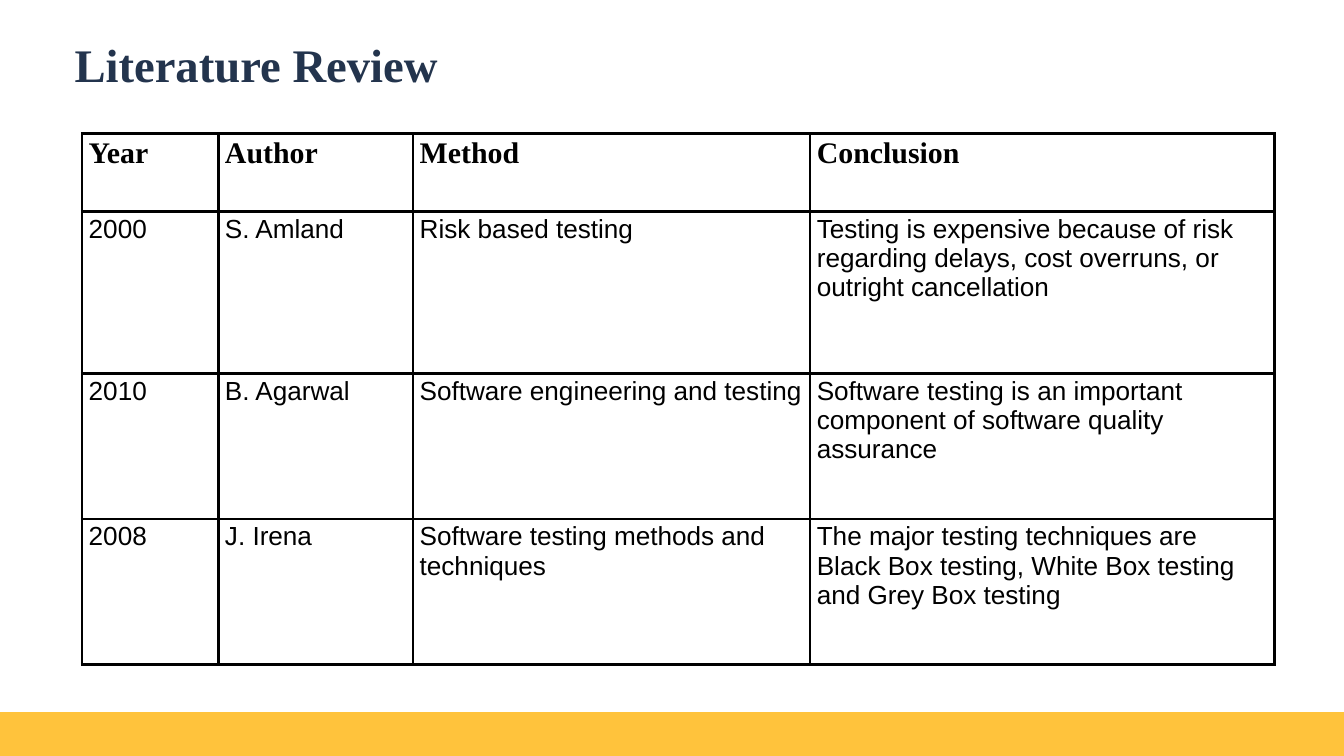
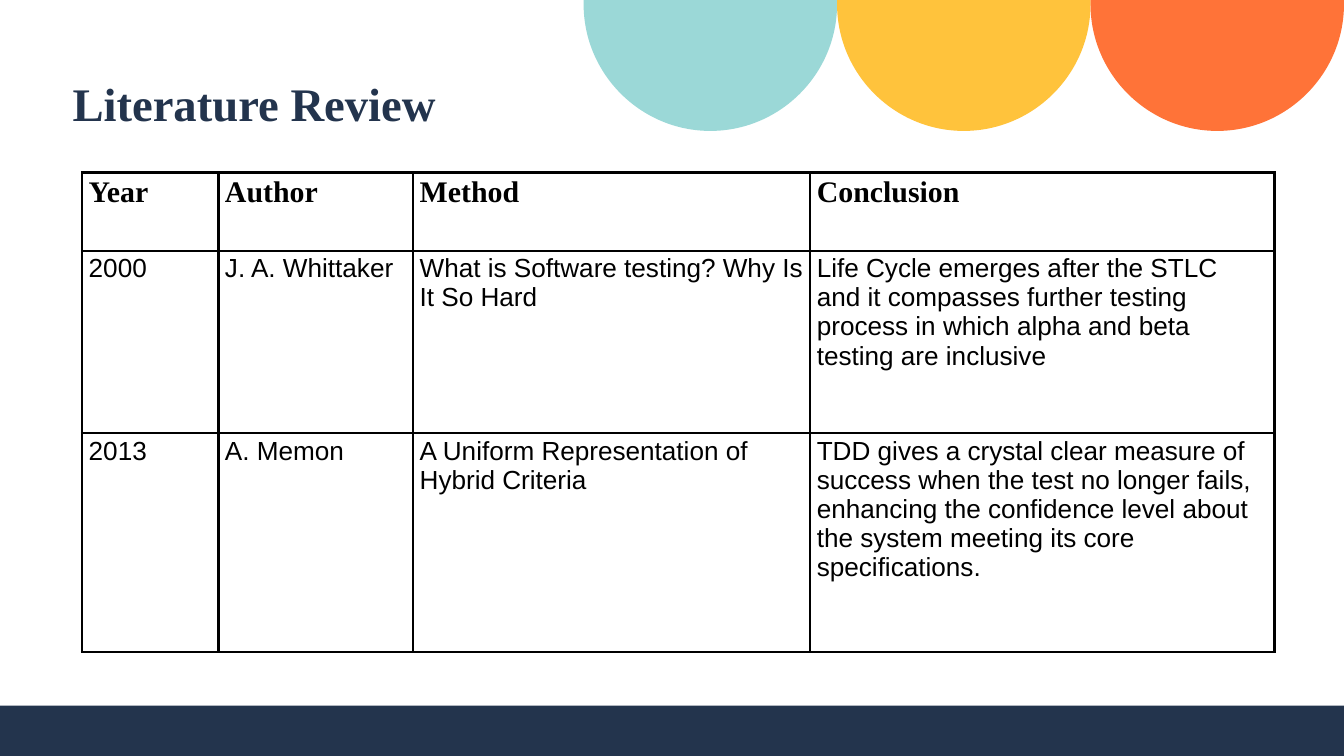
"""Build two literature review slides."""
import lxml.etree
import pptx
import pptx.dml.color
import pptx.enum.shapes
import pptx.enum.text
import pptx.oxml.ns
import pptx.util

Cm = pptx.util.Cm
Pt = pptx.util.Pt
qn = pptx.oxml.ns.qn

SLIDE_WIDTH, SLIDE_HEIGHT = 50.8, 28.58
NAVY, YELLOW, TEAL, ORANGE = "23344D", "FFC33C", "9BD8D7", "FF7338"
BLACK = "000000"
TITLE_FONT = {"name": "Times New Roman", "size": Pt(50), "bold": True}
HEADER_FONT = {"name": "Times New Roman", "size": Pt(32), "bold": True}
BODY_FONT = {"name": "Arial", "size": Pt(28), "bold": False}
TITLE_FRAME = {
    "margin_left": 0, "margin_right": 0, "margin_top": 0, "margin_bottom": 0,
    "word_wrap": True,
    "auto_size": pptx.enum.text.MSO_AUTO_SIZE.NONE,
    "vertical_anchor": pptx.enum.text.MSO_ANCHOR.TOP,
}
TITLE_PARAGRAPH = {
    "alignment": pptx.enum.text.PP_ALIGN.CENTER,
    "line_spacing": Pt(65),
}
PLAIN_TABLE = {"first_row": False, "horz_banding": False}
TABLE_LEFT = 3.1
COLUMN_WIDTHS = (5.15, 7.36, 15.01, 17.55)
HEADINGS = ("Year", "Author", "Method", "Conclusion")
HEADER_HEIGHT = 2.95
BAND_WIDTH = 51.33
DISC_DIAMETER, DISC_CENTRE_Y = 9.58, 0.16
CURVE_RATIO = 0.55

EARLIER_STUDIES = (
    ("2000", "S. Amland", "Risk based testing",
     "Testing is expensive because of risk regarding delays, cost overruns, "
     "or outright cancellation"),
    ("2010", "B. Agarwal", "Software engineering and testing",
     "Software testing is an important component of software quality "
     "assurance"),
    ("2008", "J. Irena", "Software testing methods and techniques",
     "The major testing techniques are Black Box testing, White Box testing "
     "and Grey Box testing"),
)
LATER_STUDIES = (
    ("2000", "J. A. Whittaker", "What is Software testing? Why Is It So Hard",
     "Life Cycle emerges after the STLC and it compasses further testing "
     "process in which alpha and beta testing are inclusive"),
    ("2013", "A. Memon", "A Uniform Representation of Hybrid Criteria",
     "TDD gives a crystal clear measure of success when the test no longer "
     "fails, enhancing the confidence level about the system meeting its "
     "core specifications."),
)


def rgb(hex_colour):
    """Turn a hex string into a colour."""
    return pptx.dml.color.RGBColor.from_string(hex_colour)


def apply_format(target, values):
    """Set every attribute named in a dict of format values."""
    for attribute, value in values.items():
        setattr(target, attribute, value)


def write(frame, text, font_values, colour):
    """Write one formatted run into a text frame and return its paragraph."""
    paragraph = frame.paragraphs[0]
    run = paragraph.add_run()
    run.text = text
    apply_format(run.font, font_values)
    run.font.color.rgb = rgb(colour)
    return paragraph


def paint(shape, colour):
    """Give a shape a flat fill without line or shadow."""
    shape.shadow.inherit = False
    shape.fill.solid()
    shape.fill.fore_color.rgb = rgb(colour)
    shape.line.fill.background()


def add_title(slide, top, width):
    """Move, format and fill the title placeholder."""
    title = slide.shapes.title
    apply_format(title, {"left": Cm(2.11), "top": Cm(top),
                         "width": Cm(width), "height": Cm(2.31)})
    apply_format(title.text_frame, TITLE_FRAME)
    heading = write(title.text_frame, "Literature Review", TITLE_FONT, NAVY)
    apply_format(heading, TITLE_PARAGRAPH)


def add_footer_band(slide, top, height, colour):
    """Draw the band along the bottom edge."""
    band = slide.shapes.add_shape(
        pptx.enum.shapes.MSO_SHAPE.RECTANGLE,
        0, Cm(top), Cm(BAND_WIDTH), Cm(height))
    paint(band, colour)


def bend(segments):
    """Merge three straight segments into one Bezier curve."""
    curve = lxml.etree.Element(qn("a:cubicBezTo"))
    segments[0].addprevious(curve)
    for segment in segments:
        curve.append(segment[0])
        segment.getparent().remove(segment)


def add_hanging_disc(slide, left, colour):
    """Draw a disc cut off by the top edge of the slide."""
    radius = DISC_DIAMETER / 2
    reach = radius * CURVE_RATIO
    middle, right = left + radius, left + DISC_DIAMETER
    bottom = DISC_CENTRE_Y + radius
    points = (
        (left, DISC_CENTRE_Y),
        (left, DISC_CENTRE_Y + reach), (middle - reach, bottom),
        (middle, bottom),
        (middle + reach, bottom), (right, DISC_CENTRE_Y + reach),
        (right, DISC_CENTRE_Y),
        (right, 0),
    )
    outline = slide.shapes.build_freeform(Cm(left), 0)
    outline.add_line_segments([(Cm(x), Cm(y)) for x, y in points])
    disc = outline.convert_to_shape()
    segments = list(disc._element.iter(qn("a:lnTo")))
    bend(segments[1:4])
    bend(segments[4:7])
    paint(disc, colour)


def add_disc_row(slide, colours):
    """Line up touching discs against the right edge."""
    first_left = SLIDE_WIDTH - len(colours) * DISC_DIAMETER
    for index, colour in enumerate(colours):
        add_hanging_disc(slide, first_left + index * DISC_DIAMETER, colour)


def add_borders(cell):
    """Draw all four borders of a cell."""
    properties = cell._tc.get_or_add_tcPr()
    for side in ("a:lnL", "a:lnR", "a:lnT", "a:lnB"):
        border = lxml.etree.SubElement(properties, qn(side), w=str(Pt(3)))
        fill = lxml.etree.SubElement(border, qn("a:solidFill"))
        lxml.etree.SubElement(fill, qn("a:srgbClr"), val=BLACK)


def add_study_table(slide, top, row_heights, studies):
    """Add the bordered table of studies under its headings."""
    rows = (HEADINGS,) + studies
    heights = (HEADER_HEIGHT,) + row_heights
    table = slide.shapes.add_table(
        len(rows), len(HEADINGS), Cm(TABLE_LEFT), Cm(top),
        Cm(sum(COLUMN_WIDTHS)), Cm(sum(heights))).table
    apply_format(table, PLAIN_TABLE)
    for column, width in zip(table.columns, COLUMN_WIDTHS):
        column.width = Cm(width)
    for row_index, (row, height) in enumerate(zip(rows, heights)):
        table.rows[row_index].height = Cm(height)
        font_values = BODY_FONT if row_index else HEADER_FONT
        for column_index, text in enumerate(row):
            cell = table.cell(row_index, column_index)
            add_borders(cell)
            cell.fill.background()
            write(cell.text_frame, text, font_values, BLACK)


def main():
    """Build and save the presentation."""
    presentation = pptx.Presentation()
    presentation.slide_width = Cm(SLIDE_WIDTH)
    presentation.slide_height = Cm(SLIDE_HEIGHT)
    title_only = presentation.slide_layouts[5]

    earlier = presentation.slides.add_slide(title_only)
    add_study_table(earlier, 5.05, (6.12, 5.5, 5.5), EARLIER_STUDIES)
    add_title(earlier, 1.17, 15.16)
    add_footer_band(earlier, 26.92, 1.66, YELLOW)

    later = presentation.slides.add_slide(title_only)
    add_study_table(later, 6.53, (6.89, 8.28), LATER_STUDIES)
    add_title(later, 2.64, 15.01)
    add_disc_row(later, (TEAL, YELLOW, ORANGE))
    add_footer_band(later, 26.68, 2.37, NAVY)

    presentation.save("out.pptx")


main()
